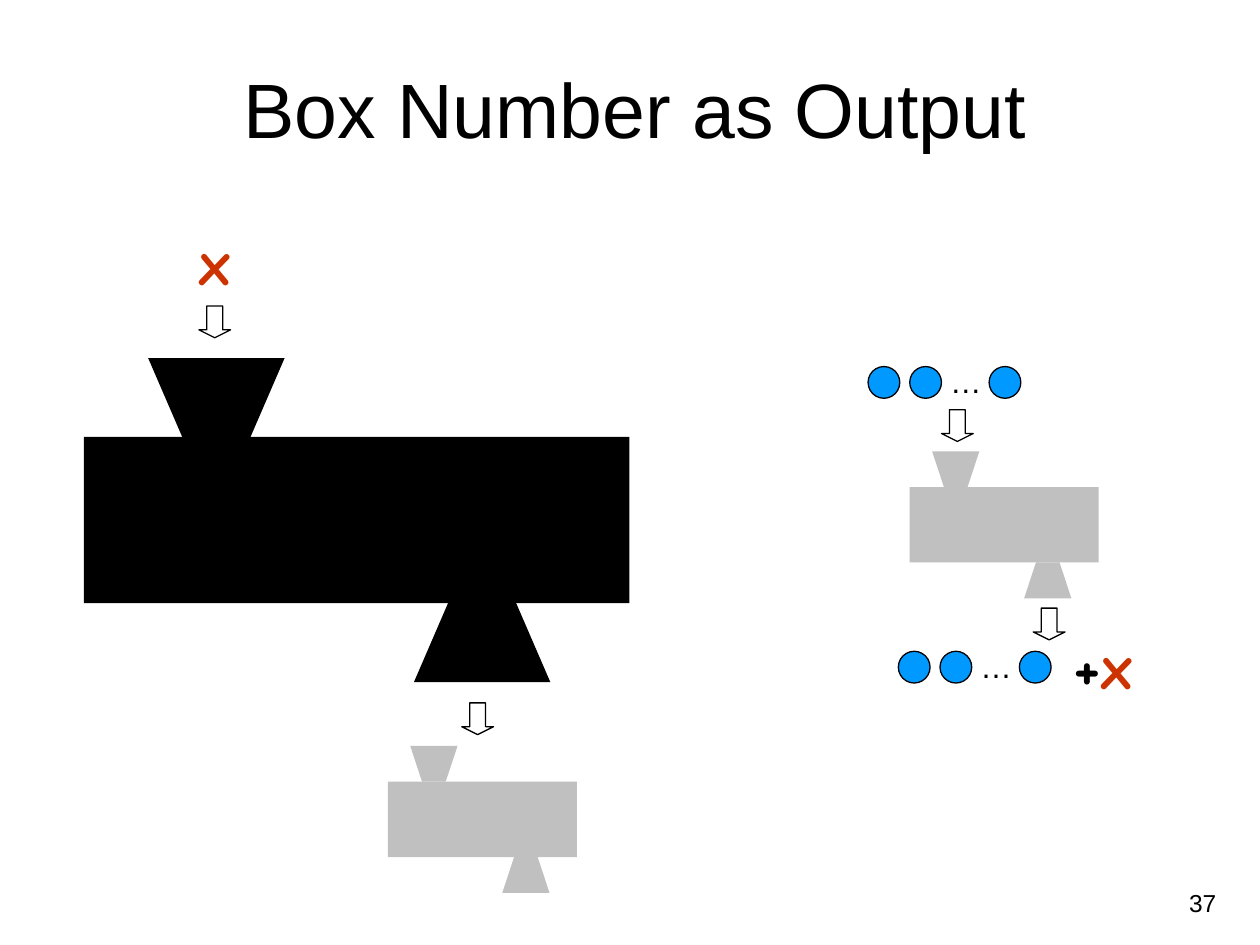
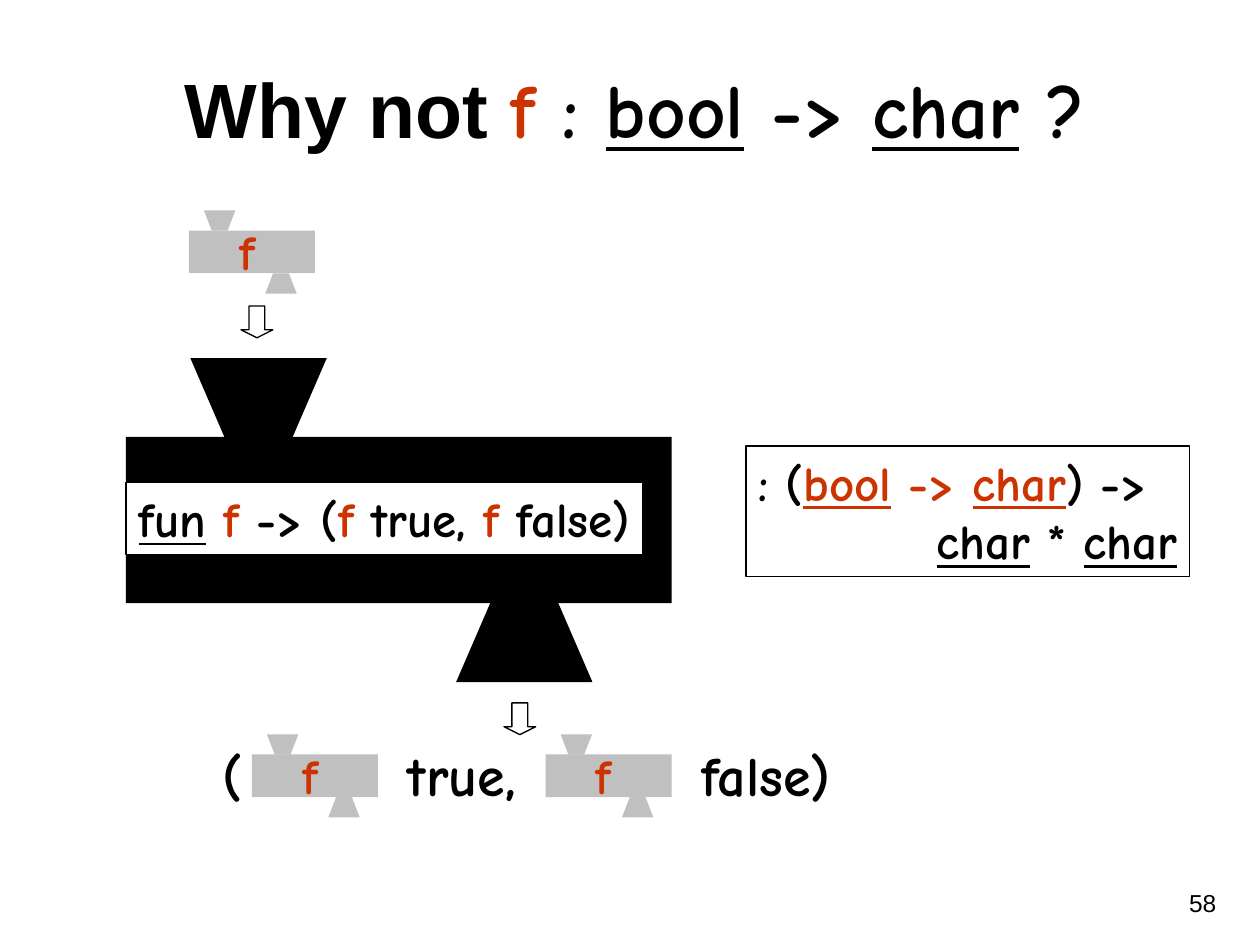
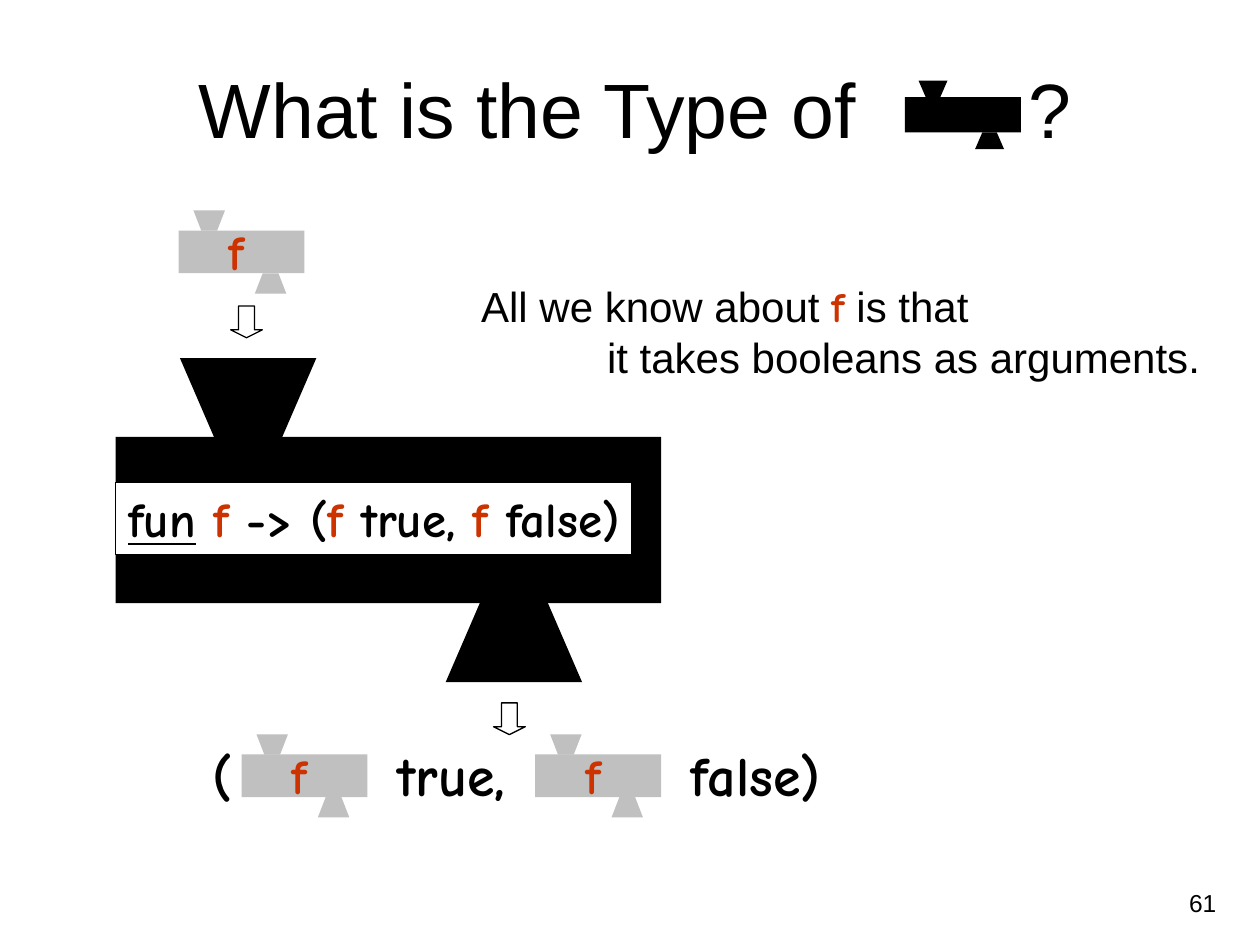
from dataclasses import dataclass

from pptx import Presentation
from pptx import util as u
from pptx.dml.color import RGBColor
from pptx.enum import shapes, text
from pptx.util import Cm


@dataclass(frozen=True)
class Theme:
    sans: str = "Arial"
    code: str = "Comic Neue"
    ink: str = "000000"
    paper: str = "FFFFFF"
    variable: str = "CC3300"
    grey: str = "C0C0C0"
    ball: str = "0099FF"
    title_size: int = 44
    symbol_size: int = 36
    value_size: int = 32
    code_size: int = 28
    note_size: int = 24
    ellipsis_size: int = 18
    number_size: int = 14
    line_width: float = 0.75


THEME = Theme()
ALIGN = text.PP_ALIGN
CODE = dict(font=THEME.code, bold=True)
VARIABLE = dict(CODE, color=THEME.variable)
TYPE = dict(CODE, underline=True)
VARIABLE_TYPE = dict(VARIABLE, underline=True)


def write(paragraph, words, *, size, font=THEME.sans, color=THEME.ink,
          bold=False, underline=False, spacing=None):
    run = paragraph.add_run()
    run.text = words
    run.font.name = font
    run.font.size = u.Pt(size)
    run.font.bold = bold
    run.font.underline = underline
    run.font.color.rgb = RGBColor.from_string(color)
    if spacing:
        run.font._element.set("spc", str(spacing * 100))


class Deck:
    def __init__(self, theme):
        self.theme = theme
        self.show = Presentation()
        self.show.slide_width, self.show.slide_height = Cm(25.4), Cm(19.05)
        self.slide = None

    def start(self, number, *title_spans):
        self.slide = self.show.slides.add_slide(self.show.slide_layouts[5])
        title = self.slide.shapes.title
        title.left, title.top, title.width, title.height = Cm(0.64), Cm(0.76), Cm(24.33), Cm(2.84)
        title.text_frame.vertical_anchor = text.MSO_ANCHOR.MIDDLE
        paragraph = title.text_frame.paragraphs[0]
        paragraph.alignment = ALIGN.CENTER
        for words, look in title_spans:
            write(paragraph, words, size=self.theme.title_size, **look)
        self.label((18.85, 17.78, 5.92, 0.89), [(str(number), {})],
                   size=self.theme.number_size, align=ALIGN.RIGHT)

    def paint(self, shape, fill=None, line=None):
        if fill:
            shape.fill.solid()
            shape.fill.fore_color.rgb = RGBColor.from_string(fill)
        else:
            shape.fill.background()
        if line:
            shape.line.color.rgb = RGBColor.from_string(line)
            shape.line.width = u.Pt(self.theme.line_width)
        else:
            shape.line.fill.background()
        shape.shadow.inherit = False

    def preset(self, kind, area, fill=None, line=None):
        shape = self.slide.shapes.add_shape(kind, *map(Cm, area))
        self.paint(shape, fill, line)
        return shape

    def cone(self, left, wide_y, narrow_y, width, fill):
        points = [(left, wide_y), (left + width, wide_y),
                  (left + width * 0.75, narrow_y), (left + width * 0.25, narrow_y)]
        start, *others = [(Cm(x), Cm(y)) for x, y in points]
        builder = self.slide.shapes.build_freeform(*start)
        builder.add_line_segments(others, close=True)
        self.paint(builder.convert_to_shape(), fill)

    def machine(self, left, top, width, height, fill):
        mouth, depth, bottom = width * 0.25, height * 0.475, top + height
        self.preset(shapes.MSO_SHAPE.RECTANGLE, (left, top, width, height), fill)
        self.cone(left + width * 0.118, top - depth, top, mouth, fill)
        self.cone(left + width * 0.605, bottom + depth, bottom, mouth, fill)

    def arrow(self, left, top):
        arrow = self.preset(shapes.MSO_SHAPE.DOWN_ARROW, (left, top, 0.64, 0.64),
                            line=self.theme.ink)
        arrow.adjustments[0], arrow.adjustments[1] = 0.5, 0.25

    def label(self, area, *lines, size, align=ALIGN.LEFT, last_align=None,
              last_indent=0, before=0, wrap=True, boxed=False):
        box = self.slide.shapes.add_textbox(*map(Cm, area))
        if boxed:
            self.paint(box, self.theme.paper, self.theme.ink)
        frame = box.text_frame
        frame.word_wrap = wrap
        for index, spans in enumerate(lines):
            paragraph = frame.add_paragraph() if index else frame.paragraphs[0]
            paragraph.alignment = align
            if before:
                paragraph.space_before = u.Pt(before)
            for words, look in spans:
                write(paragraph, words, size=size, **look)
        if last_align is not None:
            paragraph.alignment = last_align
        if last_indent:
            paragraph._p.get_or_add_pPr().set("marL", str(Cm(last_indent)))

    def black_box(self, left):
        self.machine(left, 8.81, 11, 3.35, self.theme.ink)
        self.arrow(left + 2.32, 6.17)
        self.arrow(left + 7.62, 14.17)

    def grey_box(self, left, top):
        self.machine(left, top, 3.81, 1.52, self.theme.grey)

    def function_box(self, left, top):
        self.machine(left, top, 2.54, 0.86, self.theme.grey)
        self.label((left + 0.76, top - 0.3, 0.81, 1.45), [("f", VARIABLE)],
                   size=self.theme.code_size, align=ALIGN.RIGHT, wrap=False)

    def balls(self, left, top):
        for offset in (0, 0.84, 2.44):
            self.preset(shapes.MSO_SHAPE.OVAL, (left + offset, top, 0.64, 0.64),
                        self.theme.ball, self.theme.ink)
        self.label((left + 1.4, top - 0.22, 1.14, 1.02), [("…", {})],
                   size=self.theme.ellipsis_size, align=ALIGN.CENTER, wrap=False)

    def symbol(self, area, *spans):
        self.label(area, spans, size=self.theme.symbol_size, align=ALIGN.RIGHT)

    def application(self, left):
        self.black_box(left)
        for offset, top in ((1.27, 4.65), (2.54, 15.21), (8.46, 15.21)):
            self.function_box(left + offset, top)
        for offset, width, words in ((1.7, 0.84, "("), (5.08, 3.38, "true,"), (11, 3.81, "false)")):
            self.label((left + offset, 14.81, width, 1.63), [(words, CODE)],
                       size=self.theme.value_size, align=ALIGN.CENTER, before=8)
        self.label((left, 9.73, 10.41, 1.45),
                   [("fun", TYPE), (" ", CODE), ("f", VARIABLE), (" -> (", CODE),
                    ("f", VARIABLE), (" true, ", CODE), ("f", VARIABLE), (" false)", CODE)],
                   size=self.theme.code_size, align=ALIGN.RIGHT, wrap=False, boxed=True)


def box_number(deck):
    deck.start(37, ("Box Number as Output", {}))
    deck.black_box(1.69)
    deck.grey_box(7.82, 15.76)
    deck.grey_box(18.34, 9.82)
    deck.balls(17.5, 7.39)
    deck.arrow(18.98, 8.26)
    deck.balls(18.11, 13.13)
    deck.arrow(20.83, 12.26)
    deck.symbol((3.78, 4.37, 1.12, 1.78), ("x", VARIABLE))
    deck.symbol((20.87, 12.5, 2.2, 1.78), ("+", CODE), ("x", VARIABLE))


def why_not(deck):
    deck.start(58, ("Why not ", dict(bold=True)), ("f", VARIABLE), (" : ", CODE),
               ("bool", TYPE), (" -> ", CODE), ("char", TYPE), (" ?", CODE))
    deck.application(2.54)
    deck.label((15.04, 8.99, 8.94, 2.64),
               [(": (", CODE), ("bool", VARIABLE_TYPE), (" -> ", VARIABLE),
                ("char", VARIABLE_TYPE), (") ->", CODE)],
               [("char", TYPE), (" * ", CODE), ("char", TYPE)],
               size=THEME.code_size, last_align=ALIGN.RIGHT, boxed=True)


def what_type(deck):
    deck.start(61, ("What is the Type of", {}), (" ", dict(spacing=86)), ("?", {}))
    deck.application(2.33)
    deck.label((9.45, 5.54, 15.2, 2.29),
               [("All we know about ", {}), ("f", VARIABLE), (" is that", {})],
               [("it takes booleans as arguments.", {})],
               size=THEME.note_size, last_indent=2.54)
    deck.machine(18.24, 1.96, 2.34, 0.71, THEME.ink)


def main():
    deck = Deck(THEME)
    for build in (box_number, why_not, what_type):
        build(deck)
    deck.show.save("out.pptx")


if __name__ == "__main__":
    main()
